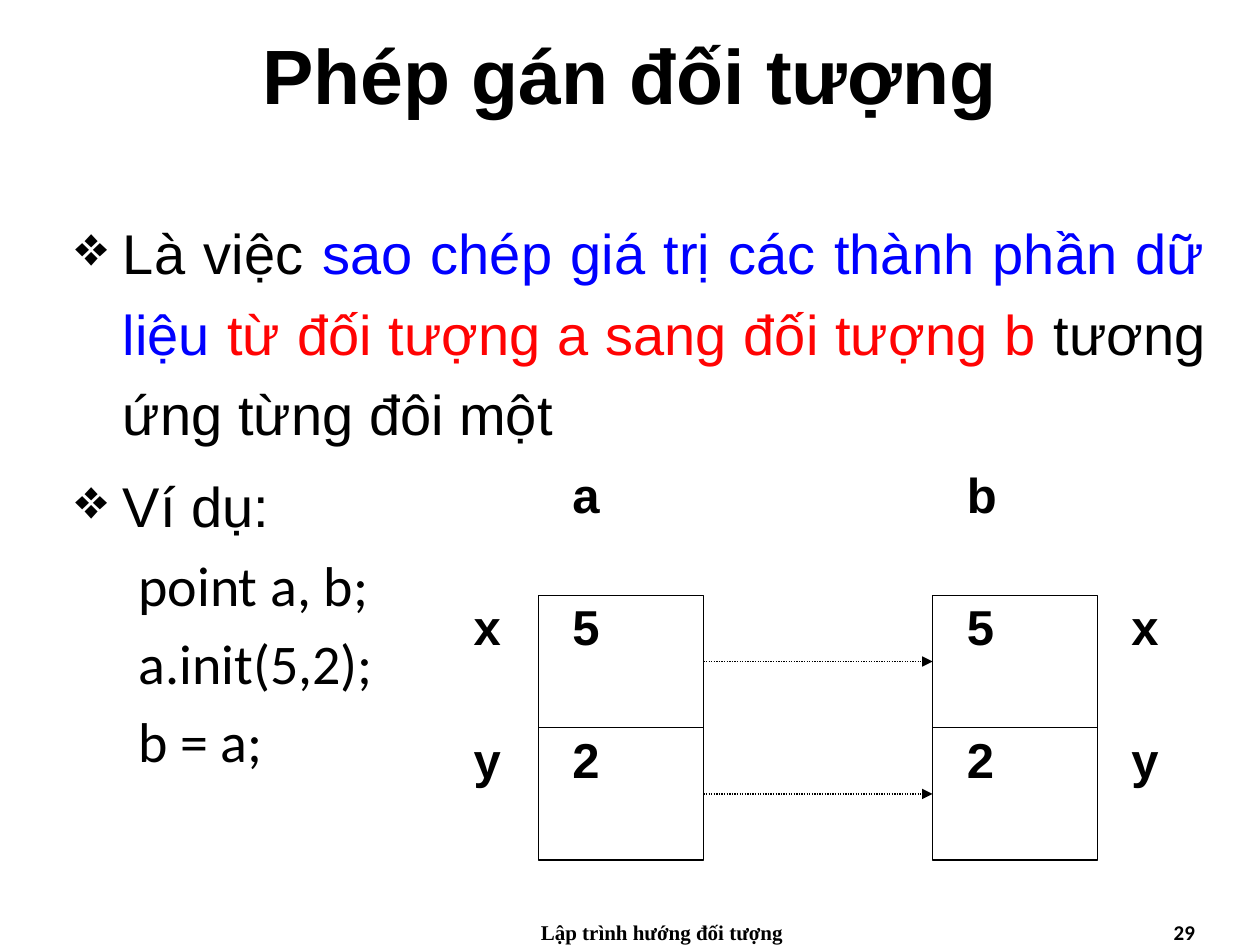
import pptx
import pptx.dml.color
import pptx.enum.dml
import pptx.enum.shapes
import pptx.enum.text
import pptx.oxml.ns
import pptx.util
from lxml import etree
from pptx.util import Cm

COLOURS = {"black": "000000", "blue": "0000FF", "red": "FF0303"}
ALIGN = pptx.enum.text.PP_ALIGN
ANCHOR = pptx.enum.text.MSO_ANCHOR

TITLE = {"name": "Arial", "size": pptx.util.Pt(44), "bold": True}
BODY = {"name": "Arial", "size": pptx.util.Pt(32), "bold": False}
CODE = {"name": "Calibri", "size": pptx.util.Pt(32), "bold": False}
LABEL = {"name": "Arial", "size": pptx.util.Pt(28), "bold": True}
FOOTER = {"name": "Times New Roman", "size": pptx.util.Pt(12), "bold": True}
NUMBER = {"name": "Calibri", "size": pptx.util.Pt(12), "bold": True}

BULLET_PARA = {"alignment": ALIGN.JUSTIFY, "line_spacing": 1.2, "space_before": pptx.util.Pt(6.4)}
CODE_PARA = {"alignment": ALIGN.LEFT, "space_before": pptx.util.Pt(6.4)}


def set_all(target, values):
    for name, value in values.items():
        setattr(target, name, value)


def add_element(parent, tag, **attributes):
    return etree.SubElement(parent, pptx.oxml.ns.qn(tag), attributes)


class Board:
    def __init__(self, deck):
        self.page = deck.slides.add_slide(deck.slide_layouts[6])

    def colour(self, name):
        return pptx.dml.color.RGBColor.from_string(COLOURS[name])

    def frame(self, left, top, width, height, anchor=ANCHOR.TOP, inset=None):
        box = self.page.shapes.add_textbox(Cm(left), Cm(top), Cm(width), Cm(height))
        frame = box.text_frame
        set_all(frame, {"word_wrap": True, "vertical_anchor": anchor})
        if inset is not None:
            sides = ("left", "top", "right", "bottom")
            set_all(frame, {f"margin_{side}": Cm(inset) for side in sides})
        return frame

    def fill_para(self, para, spans, font, layout):
        set_all(para, layout)
        for text, colour in spans:
            span = para.add_run()
            span.text = text
            set_all(span.font, font)
            span.font.color.rgb = self.colour(colour)

    def text(self, place, words, font, align=ALIGN.LEFT, **options):
        para = self.frame(*place, **options).paragraphs[0]
        self.fill_para(para, [(words, "black")], font, {"alignment": align})

    def body(self, place, bullets, code):
        frame = self.frame(*place)
        rows = [(spans, BODY, BULLET_PARA, 0.96, -0.96, "❖") for spans in bullets]
        rows += [([(line, "black")], CODE, CODE_PARA, 2.06, -0.79, None) for line in code]
        for index, (spans, font, layout, margin, indent, bullet) in enumerate(rows):
            para = frame.add_paragraph() if index else frame.paragraphs[0]
            self.fill_para(para, spans, font, layout)
            properties = para._p.get_or_add_pPr()
            properties.set("marL", str(Cm(margin)))
            properties.set("indent", str(Cm(indent)))
            if bullet:
                add_element(properties, "a:buChar", char=bullet)

    def outline(self, shape):
        shape.line.color.rgb = self.colour("black")
        shape.line.width = pptx.util.Pt(0.75)

    def rectangle(self, left, top, width, height):
        kind = pptx.enum.shapes.MSO_SHAPE.RECTANGLE
        box = self.page.shapes.add_shape(kind, Cm(left), Cm(top), Cm(width), Cm(height))
        box.shadow.inherit = False
        box.fill.background()
        self.outline(box)
        return box

    def line(self, left, right, height):
        kind = pptx.enum.shapes.MSO_CONNECTOR.STRAIGHT
        line = self.page.shapes.add_connector(kind, Cm(left), Cm(height), Cm(right), Cm(height))
        self.outline(line)
        add_element(line._element.spPr, "a:effectLst")
        return line

    def arrow(self, left, right, height):
        arrow = self.line(left, right, height)
        arrow.line.dash_style = pptx.enum.dml.MSO_LINE.ROUND_DOT
        add_element(arrow.line._get_or_add_ln(), "a:tailEnd", type="triangle")


def draw_objects(board):
    width, cell, top = 3.33, 2.67, 12
    columns = {"a": 10.85, "b": 18.8}
    tops = [top, top + cell]

    def label(words, left, height, room=1.98):
        board.text((left, height, room, cell), words, LABEL, inset=0.03)

    for name, left in columns.items():
        box = board.rectangle(left, top, width, 2 * cell)
        divider = board.line(left, left + width, top + cell)
        divider.begin_connect(box, 1)
        divider.end_connect(box, 3)
        for words, height in zip((name, "5", "2"), (top - cell, *tops)):
            label(words, left + 0.66, height)

    for field, height in zip("xy", tops):
        label(field, 9.52, height, 1.33)
        label(field, 22.78, height)
        board.arrow(columns["a"] + width, columns["b"], height + cell / 2)


def main():
    deck = pptx.Presentation()
    set_all(deck, {"slide_width": Cm(25.4), "slide_height": Cm(19.05)})
    board = Board(deck)
    board.text((0, 0, 25.4, 2.97), "Phép gán đối tượng", TITLE, ALIGN.CENTER, anchor=ANCHOR.MIDDLE)
    bullets = [
        [
            ("Là việc ", "black"),
            ("sao chép giá trị các thành phần dữ liệu ", "blue"),
            ("từ đối tượng a sang đối tượng b", "red"),
            (" tương ứng từng đôi một", "black"),
        ],
        [("Ví dụ:", "black")],
    ]
    board.body((1.27, 4.01, 23.29, 13.69), bullets, ["point a, b;", "a.init(5,2);", "b = a;"])
    board.text((9.32, 18.42, 8.05, 0.63), "Lập trình hướng đối tượng", FOOTER, ALIGN.CENTER)
    board.text((18.42, 18.42, 5.92, 0.63), "29", NUMBER, ALIGN.RIGHT)
    draw_objects(board)
    deck.save("out.pptx")


if __name__ == "__main__":
    main()
